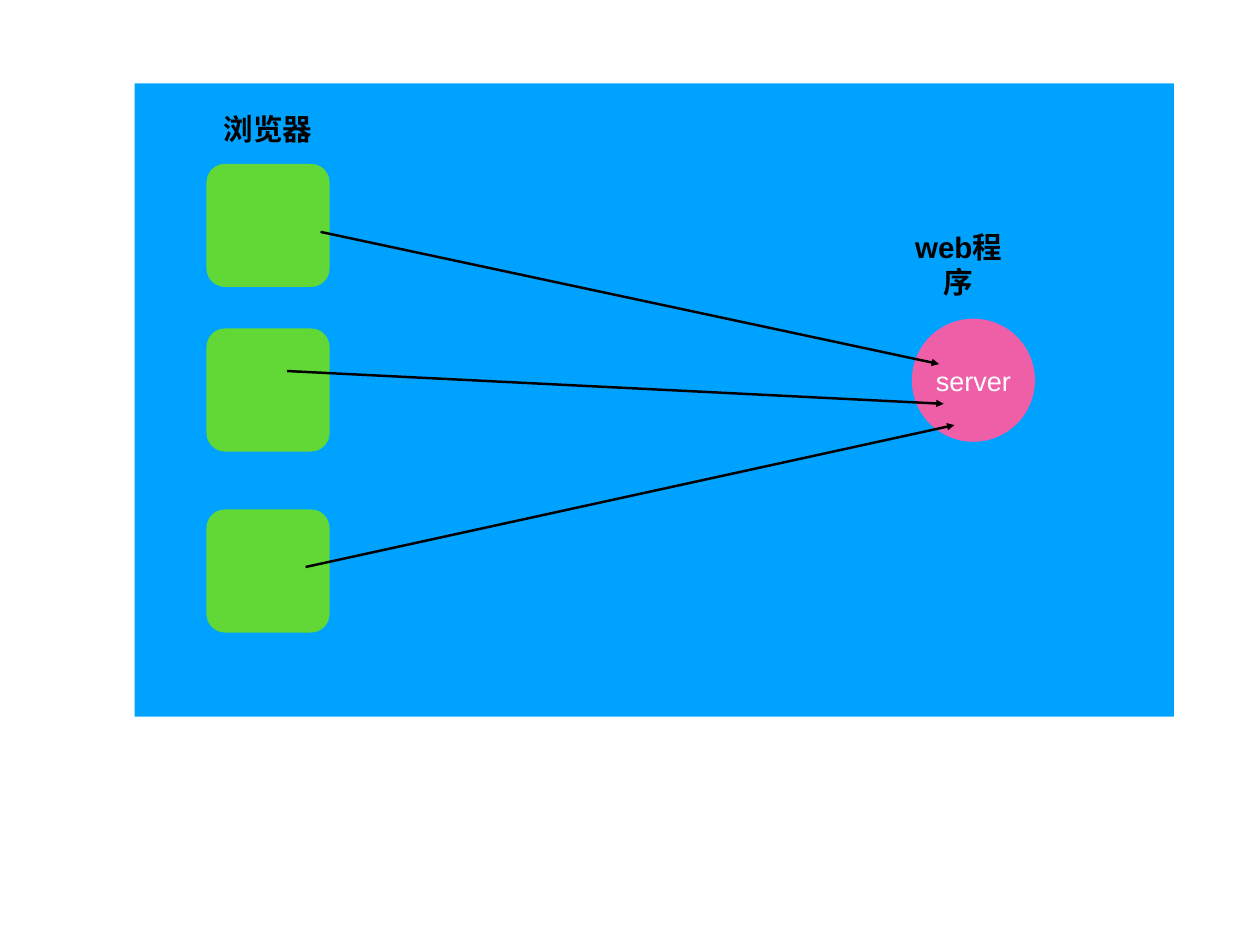
from pptx import Presentation
from pptx.dml.color import RGBColor
from pptx.enum.shapes import MSO_CONNECTOR, MSO_SHAPE
from pptx.enum.text import MSO_ANCHOR, PP_ALIGN
from pptx.oxml.ns import qn
from pptx.util import Cm, Pt
from lxml.etree import SubElement

BLUE = RGBColor(0x00, 0xA2, 0xFF)
GREEN = RGBColor(0x61, 0xD8, 0x36)
PINK = RGBColor(0xEF, 0x5F, 0xA7)
BLACK = RGBColor(0, 0, 0)
WHITE = RGBColor(0xFF, 0xFF, 0xFF)

# Content, lengths in cm
PANEL = (3.86, 2.39, 29.79, 18.16)
NODE = 3.53
BROWSER_LEFT = 5.92
BROWSER_TOPS = [4.7, 9.42, 14.61]
SERVER = ("server", 26.14, 9.14)
REQUESTS = [  # start, end
    ((9.19, 6.65), (26.92, 10.44)),
    ((8.23, 10.64), (27.05, 11.58)),
    ((8.76, 16.26), (27.36, 12.19)),
]
LABEL_WIDTH = 3.3
LABELS = [  # text, centre x, centre y, height
    ("web程序", 27.48, 7.58, 2.9),
    ("浏览器", 7.69, 3.7, 1.45),
]


def add_block(kind, left, top, width, height, color):
    sp = slide.shapes.add_shape(kind, Cm(left), Cm(top), Cm(width), Cm(height))
    sp.shadow.inherit = False
    sp.fill.solid()
    sp.fill.fore_color.rgb = color
    sp.line.fill.background()
    return sp


def write(sp, text, size, color, bold=False):
    tf = sp.text_frame
    tf.word_wrap = True
    tf.vertical_anchor = MSO_ANCHOR.MIDDLE
    tf.margin_left = tf.margin_right = tf.margin_top = tf.margin_bottom = Cm(0.15)
    p = tf.paragraphs[0]
    p.alignment = PP_ALIGN.CENTER
    r = p.add_run()
    r.text = text
    r.font.name = "Arial"
    r.font.size = Pt(size)
    r.font.bold = bold
    r.font.color.rgb = color


def add_arrow(start, end):
    cx = slide.shapes.add_connector(
        MSO_CONNECTOR.STRAIGHT, *(Cm(v) for v in start + end))
    cx.line.color.rgb = BLACK
    cx.line.width = Pt(2)
    SubElement(cx.line._get_or_add_ln(), qn("a:tailEnd"), type="triangle")
    SubElement(cx._element.spPr, qn("a:effectLst"))


prs = Presentation()
prs.slide_width, prs.slide_height = Cm(36.12), Cm(27.1)
slide = prs.slides.add_slide(prs.slide_layouts[6])

# Panel and browsers
add_block(MSO_SHAPE.RECTANGLE, *PANEL, BLUE)
for top in BROWSER_TOPS:
    sp = add_block(MSO_SHAPE.ROUNDED_RECTANGLE, BROWSER_LEFT, top, NODE, NODE, GREEN)
    sp.adjustments[0] = 0.15

# Server
name, left, top = SERVER
write(add_block(MSO_SHAPE.OVAL, left, top, NODE, NODE, PINK), name, 22, WHITE)

# Requests
for start, end in REQUESTS:
    add_arrow(start, end)

# Labels
for text, x, y, height in LABELS:
    box = slide.shapes.add_textbox(
        Cm(x - LABEL_WIDTH / 2), Cm(y - height / 2), Cm(LABEL_WIDTH), Cm(height))
    write(box, text, 24, BLACK, bold=True)

prs.save("out.pptx")
